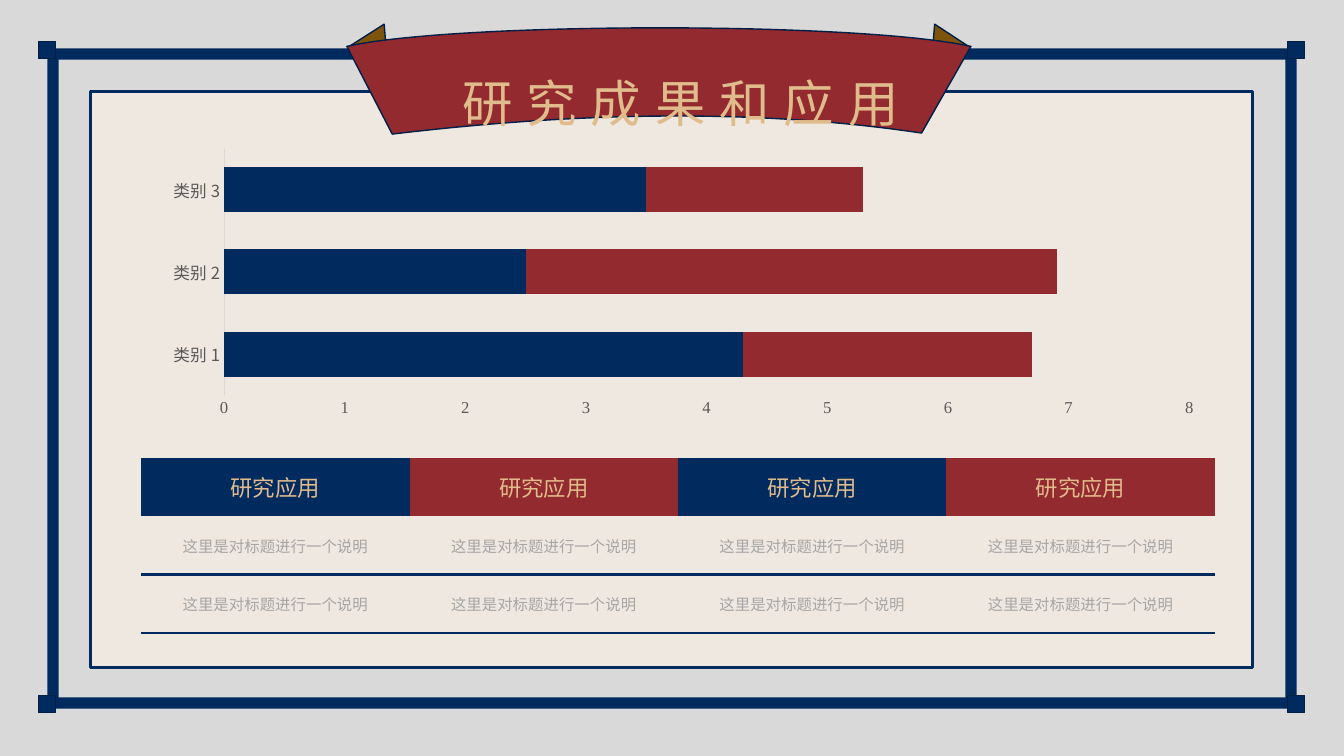
"""Build the slide on research results and applications."""
from itertools import product

from lxml import etree
from pptx import Presentation
from pptx.chart.data import CategoryChartData
from pptx.dml.color import RGBColor
from pptx.enum.chart import XL_CHART_TYPE as ChartType, XL_TICK_MARK as TickMark
from pptx.enum.shapes import MSO_SHAPE as Preset
from pptx.enum.text import MSO_ANCHOR as Anchor, MSO_AUTO_SIZE as AutoSize, PP_ALIGN as Align
from pptx.oxml import parse_xml
from pptx.oxml.ns import nsdecls, qn
from pptx.util import Inches, Pt

NAVY, RED, GOLD, CREAM = "012A5E", "932A2F", "E0BB8B", "EFE8E0"
OUTLINE, BROWN, BACKDROP = "011F46", "7E540C", "D9D9D9"
AXIS_GREY, BODY_GREY = "595959", "A6A6A6"
CJK, LATIN = "Noto Sans CJK SC", "Times New Roman"

TITLE = "研究成果和应用"
HEADERS = ["研究应用"] * 4
BODY_ROWS = [["这里是对标题进行一个说明"] * 4] * 2
CATEGORIES = ["类别 1", "类别 2", "类别 3"]
SERIES = [("Series 1", (4.3, 2.5, 3.5), NAVY), ("Series 2", (2.4, 4.4, 1.8), RED)]
PLOT_LAYOUT = {"x": 0.072, "y": 0.02, "w": 0.904, "h": 0.88}

CORNER_SIZE = 0.17
CORNERS = product((0.38, 12.77), (0.41, 6.9))
FOLDS = [
    [(3.45, 0.47), (3.81, 0.24), (3.84, 0.6)],
    [(9.62, 0.47), (9.27, 0.24), (9.24, 0.6)],
]
BANNER_BOTTOM = [(3.89, 1.33), (5.16, 1.18), (7.14, 1.02), (9.14, 1.32)]
BANNER_TOP = [(9.63, 0.46), (8.49, 0.21), (4.5, 0.22), (3.44, 0.46)]


def color(value):
    return RGBColor.from_string(value)


def paint(shape, fill, line=None, width=1):
    shape.shadow.inherit = False
    shape.fill.solid()
    shape.fill.fore_color.rgb = color(fill)
    if line:
        shape.line.color.rgb = color(line)
        shape.line.width = Pt(width)
    else:
        shape.line.fill.background()


def add_panel(slide, preset, box, fill, line=None, width=1, adjust=None):
    shape = slide.shapes.add_shape(preset, *map(Inches, box))
    if adjust is not None:
        shape.adjustments[0] = adjust
    paint(shape, fill, line, width)


def curve(points, steps=40):
    result = []
    for step in range(steps + 1):
        t = step / steps
        weights = ((1 - t) ** 3, 3 * t * (1 - t) ** 2, 3 * t * t * (1 - t), t ** 3)
        result.append(tuple(sum(w * p[axis] for w, p in zip(weights, points)) for axis in (0, 1)))
    return result


def add_outline(slide, points, fill):
    start, *others = [(Inches(x), Inches(y)) for x, y in points]
    builder = slide.shapes.build_freeform(*start)
    builder.add_line_segments(others, close=True)
    paint(builder.convert_to_shape(), fill, OUTLINE)


def set_font(font, properties, size, fill, name):
    font.size = Pt(size)
    font.bold = False
    font.color.rgb = color(fill)
    font.name = name
    etree.SubElement(properties, qn("a:ea")).set("typeface", name)


def write(frame, text, size, fill, name=CJK, spacing=None):
    paragraph = frame.paragraphs[0]
    paragraph.alignment = Align.CENTER
    run = paragraph.add_run()
    run.text = text
    properties = run.font._element
    set_font(run.font, properties, size, fill, name)
    if spacing:
        properties.set("spc", str(spacing * 100))


def add_border(cell, side):
    cell._tc.get_or_add_tcPr().append(parse_xml(
        f'<a:{side} {nsdecls("a")} w="{Pt(2.25)}"><a:solidFill>'
        f'<a:srgbClr val="{NAVY}"/></a:solidFill></a:{side}>'))


def add_frame(slide):
    add_panel(slide, Preset.ROUNDED_RECTANGLE, (0, 0, 13.33, 7.5), BACKDROP, adjust=0)
    add_panel(slide, Preset.FRAME, (0.47, 0.48, 12.39, 6.55), NAVY, adjust=0.017)
    for left, top in CORNERS:
        add_panel(slide, Preset.RECTANGLE, (left, top, CORNER_SIZE, CORNER_SIZE), NAVY, OUTLINE)
    add_panel(slide, Preset.RECTANGLE, (0.9, 0.91, 11.52, 5.71), CREAM, NAVY, 2.25)
    for fold in FOLDS:
        add_outline(slide, fold, BROWN)
    add_outline(slide, curve(BANNER_BOTTOM) + curve(BANNER_TOP), RED)


def add_title(slide):
    title = slide.shapes.title
    title.left, title.top, title.width, title.height = map(Inches, (2.58, 0.67, 8.34, 0.68))
    frame = title.text_frame
    frame.word_wrap = True
    frame.auto_size = AutoSize.SHAPE_TO_FIT_TEXT
    frame.vertical_anchor = Anchor.TOP
    write(frame, TITLE, 36, GOLD, spacing=10)
    title.element.getparent().append(title.element)


def add_table(slide):
    rows = [HEADERS] + BODY_ROWS
    box = map(Inches, (1.4, 4.54, 10.65, 1.74))
    table = slide.shapes.add_table(len(rows), len(HEADERS), *box).table
    table.first_row = table.horz_banding = False
    style = table._tbl.tblPr.find(qn("a:tableStyleId"))
    style.text = "{2D5ABB26-0587-4C30-8999-92F81FD0307C}"
    for row, texts in enumerate(rows):
        for column, text in enumerate(texts):
            cell = table.cell(row, column)
            cell.vertical_anchor = Anchor.MIDDLE
            if row == 0:
                cell.fill.solid()
                cell.fill.fore_color.rgb = color((NAVY, RED)[column % 2])
                write(cell.text_frame, text, 16, GOLD)
                continue
            if row > 1:
                add_border(cell, "lnT")
            add_border(cell, "lnB")
            cell.fill.background()
            write(cell.text_frame, text, 11, BODY_GREY)


def format_axis(axis, name):
    axis.has_major_gridlines = False
    axis.major_tick_mark = axis.minor_tick_mark = TickMark.NONE
    font = axis.tick_labels.font
    set_font(font, font._element, 11.9, AXIS_GREY, name)


def add_chart(slide):
    data = CategoryChartData()
    data.categories = CATEGORIES
    for name, values, _ in SERIES:
        data.add_series(name, values)
    box = map(Inches, (1.46, 1.42, 10.59, 2.78))
    chart = slide.shapes.add_chart(ChartType.BAR_STACKED, *box, data).chart
    chart.has_legend = chart.has_title = False
    set_font(chart.font, chart.font._element, 10, "000000", LATIN)
    plot = chart.plots[0]
    plot.gap_width, plot.overlap, plot.vary_by_categories = 83, 100, False
    for series, (_, _, fill) in zip(plot.series, SERIES):
        series.format.fill.solid()
        series.format.fill.fore_color.rgb = color(fill)
    format_axis(chart.category_axis, CJK)
    chart.category_axis.format.line.color.rgb = color(BACKDROP)
    chart.category_axis.format.line.width = Pt(0.75)
    value_axis = chart.value_axis
    format_axis(value_axis, LATIN)
    value_axis.format.line.fill.background()
    value_axis.minimum_scale, value_axis.maximum_scale, value_axis.major_unit = 0, 8, 1
    place_plot(chart)


def place_plot(chart):
    area = chart._chartSpace.chart.plotArea
    for layout in area.findall(qn("c:layout")):
        area.remove(layout)
    modes = "".join(f'<c:{side}Mode val="edge"/>' for side in "xy")
    values = "".join(f'<c:{key} val="{value}"/>' for key, value in PLOT_LAYOUT.items())
    area.insert(0, parse_xml(
        f'<c:layout {nsdecls("c")}><c:manualLayout><c:layoutTarget val="inner"/>'
        f'{modes}{values}</c:manualLayout></c:layout>'))


def main():
    presentation = Presentation()
    presentation.slide_width, presentation.slide_height = Inches(13.33), Inches(7.5)
    slide = presentation.slides.add_slide(presentation.slide_layouts[5])
    add_frame(slide)
    add_title(slide)
    add_table(slide)
    add_chart(slide)
    presentation.save("out.pptx")


if __name__ == "__main__":
    main()
